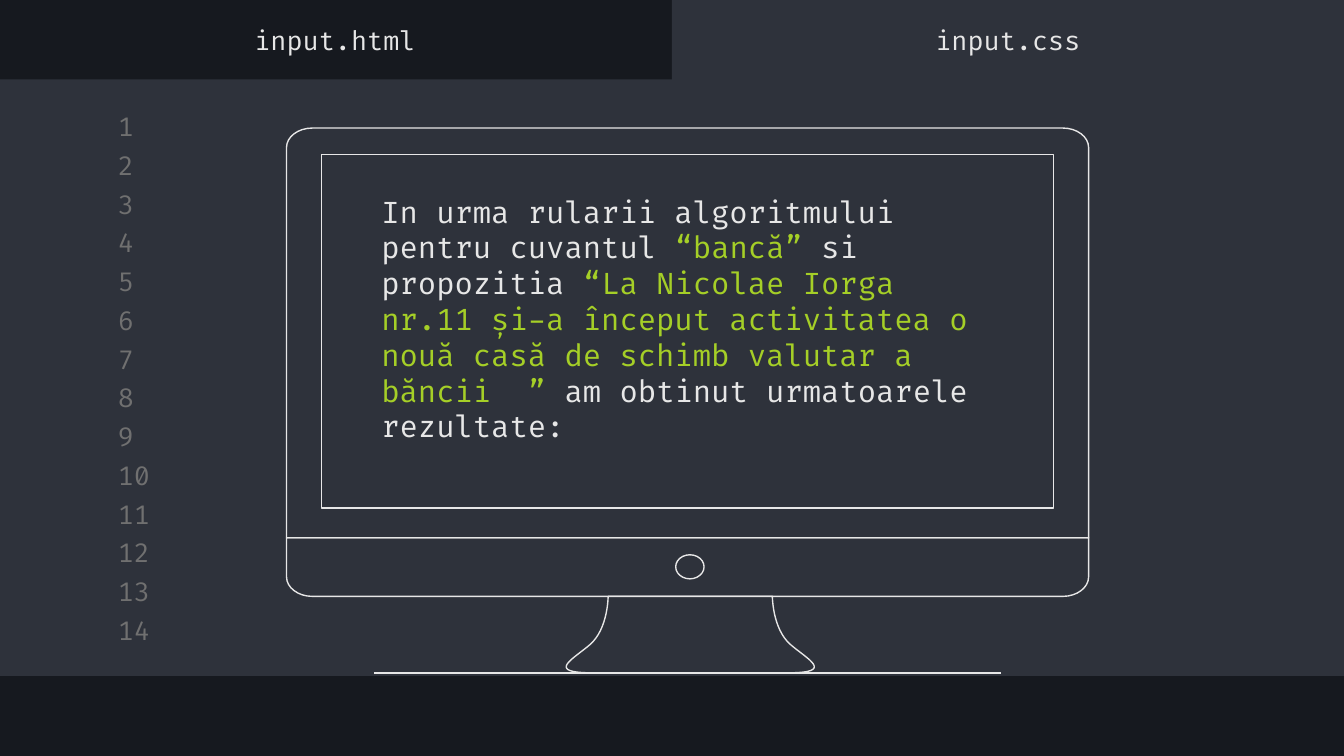
from lxml import etree
from pptx import Presentation
from pptx.dml.color import RGBColor
from pptx.enum.shapes import MSO_CONNECTOR, MSO_SHAPE
from pptx.enum.text import MSO_ANCHOR, PP_ALIGN
from pptx.oxml.ns import qn
from pptx.util import Pt

RECTANGLE, OVAL = MSO_SHAPE.RECTANGLE, MSO_SHAPE.OVAL
STRAIGHT = MSO_CONNECTOR.STRAIGHT
MIDDLE, TOP = MSO_ANCHOR.MIDDLE, MSO_ANCHOR.TOP
LEFT, CENTER = PP_ALIGN.LEFT, PP_ALIGN.CENTER

COLORS = {
    name: RGBColor.from_string(value)
    for name, value in {
        "dark": "16191F",
        "panel": "2E323B",
        "number": "707070",
        "light": "E7E7E7",
        "green": "A5CF27",
    }.items()
}
FONT = "Fira Code"

presentation = Presentation()
presentation.slide_width, presentation.slide_height = Pt(720), Pt(405)
slide = presentation.slides.add_slide(presentation.slide_layouts[6])
shapes = slide.shapes
slide.background.fill.solid()
slide.background.fill.fore_color.rgb = COLORS["dark"]


def add_text(box, runs, size, align=LEFT, anchor=MIDDLE):
    """Add a one-paragraph text box; runs are (text, colour name) pairs."""
    frame = shapes.add_textbox(*map(Pt, box)).text_frame
    frame.word_wrap = True
    frame.vertical_anchor = anchor
    frame.margin_left = frame.margin_right = Pt(7.2)
    frame.margin_top = frame.margin_bottom = Pt(0)
    paragraph = frame.paragraphs[0]
    paragraph.alignment = align
    paragraph.font.name, paragraph.font.size = FONT, Pt(size)
    for text, color in runs:
        run = paragraph.add_run()
        run.text = text
        run.font.color.rgb = COLORS[color]


def add_outline(start, steps, hole=()):
    """Add a closed outline; a step holds one point, or three for a cubic curve."""
    builder = shapes.build_freeform(Pt(start[0]), Pt(start[1]), scale=1.0)
    points = [(Pt(x), Pt(y)) for step in steps for x, y in zip(step[::2], step[1::2])]
    builder.add_line_segments(points, close=True)
    if hole:
        corners = [(Pt(x), Pt(y)) for x, y in hole]
        builder.move_to(*corners[0])
        builder.add_line_segments(corners[1:], close=True)
    shape = builder.convert_to_shape()
    segments = iter(list(shape._element.iter(qn("a:lnTo"))))
    for step in steps:
        curve = next(segments)
        if len(step) == 6:
            curve.tag = qn("a:cubicBezTo")
            for _ in range(2):
                extra = next(segments)
                curve.append(extra[0])
                extra.getparent().remove(extra)
    return shape


# Editor panel and active tab
for box in ((0, 42.5, 720, 319.7), (360, 0, 360, 49.7)):
    panel = shapes.add_shape(RECTANGLE, *map(Pt, box))
    panel.shadow.inherit = False
    panel.fill.solid()
    panel.fill.fore_color.rgb = COLORS["panel"]
    panel.line.fill.background()

# Line numbers
for index in range(14):
    add_text((56.1, 59 + 20.75 * index, 33.8, 17.3), [(str(index + 1), "number")], 14)

# Message on the screen
add_text((197.2, 103.5, 342, 173.5), [
    ("In urma rularii algoritmului pentru cuvantul ", "light"),
    ("“bancă”", "green"),
    (" si propozitia ", "light"),
    ("“La Nicolae Iorga nr.11 și-a început activitatea o nouă casă de schimb "
     "valutar a băncii  ” ", "green"),
    ("am obtinut urmatoarele rezultate:", "light"),
], 16, anchor=TOP)
message = shapes[-1]

# Tab titles
for left, title in ((-0.5, "input.html"), (360, "input.css")):
    add_text((left, 7.2, 360, 28), [(title, "light")], 14, CENTER)

# Monitor: chin and bezel share the same rounded corners
left, right, divider = 153.5, 583.2, 288.1
corner_x, corner_y = 13.8, 10.4
screen = [(564.4, 82.8), (564.4, 272.2), (172.2, 272.2), (172.2, 82.8)]
monitor = []
for edge, sign, hole in ((319.5, 1, ()), (68.6, -1, screen)):
    shoulder = edge - sign * corner_y
    near = edge - sign * corner_y * 0.45
    monitor.append(add_outline((left, shoulder), [
        (left, near, left + corner_x * 0.45, edge, left + corner_x, edge),
        (right - corner_x, edge),
        (right - corner_x * 0.45, edge, right, near, right, shoulder),
        (right, divider),
        (left, divider),
    ], hole))

# Power button
button = shapes.add_shape(OVAL, Pt(362), Pt(297.2), Pt(15.2), Pt(12.9))

# Stand, symmetric about its centre
center, neck, waist, foot = 369.8, 319.5, 345.3, 360.5
stand = add_outline((center + 53.6, waist), [
    (center + 44, 336.8, center + 44, neck, center + 44, neck),
    (center - 44, neck),
    (center - 44, neck, center - 44, 336.8, center - 53.6, waist),
    (center - 63, 353.4, center - 77.8, foot, center - 52.2, foot),
    (center + 52.2, foot),
    (center + 77.8, foot, center + 63, 353.4, center + 53.6, waist),
])

# Shared monitor style
for shape in (*monitor, button, stand):
    shape.shadow.inherit = False
    shape.fill.solid()
    shape.fill.fore_color.rgb = COLORS["panel"]
    shape.line.color.rgb = COLORS["light"]
    shape.line.width = Pt(0.75)
button.fill.background()

# Desk line
desk = shapes.add_connector(STRAIGHT, Pt(536.3), Pt(foot), Pt(200.4), Pt(foot))
desk.line.color.rgb = COLORS["light"]
desk.line.width = Pt(0.75)
etree.SubElement(desk._element.spPr, qn("a:effectLst"))

# Keep the message in front of the monitor
shapes._spTree.append(message._element)

presentation.save("out.pptx")
